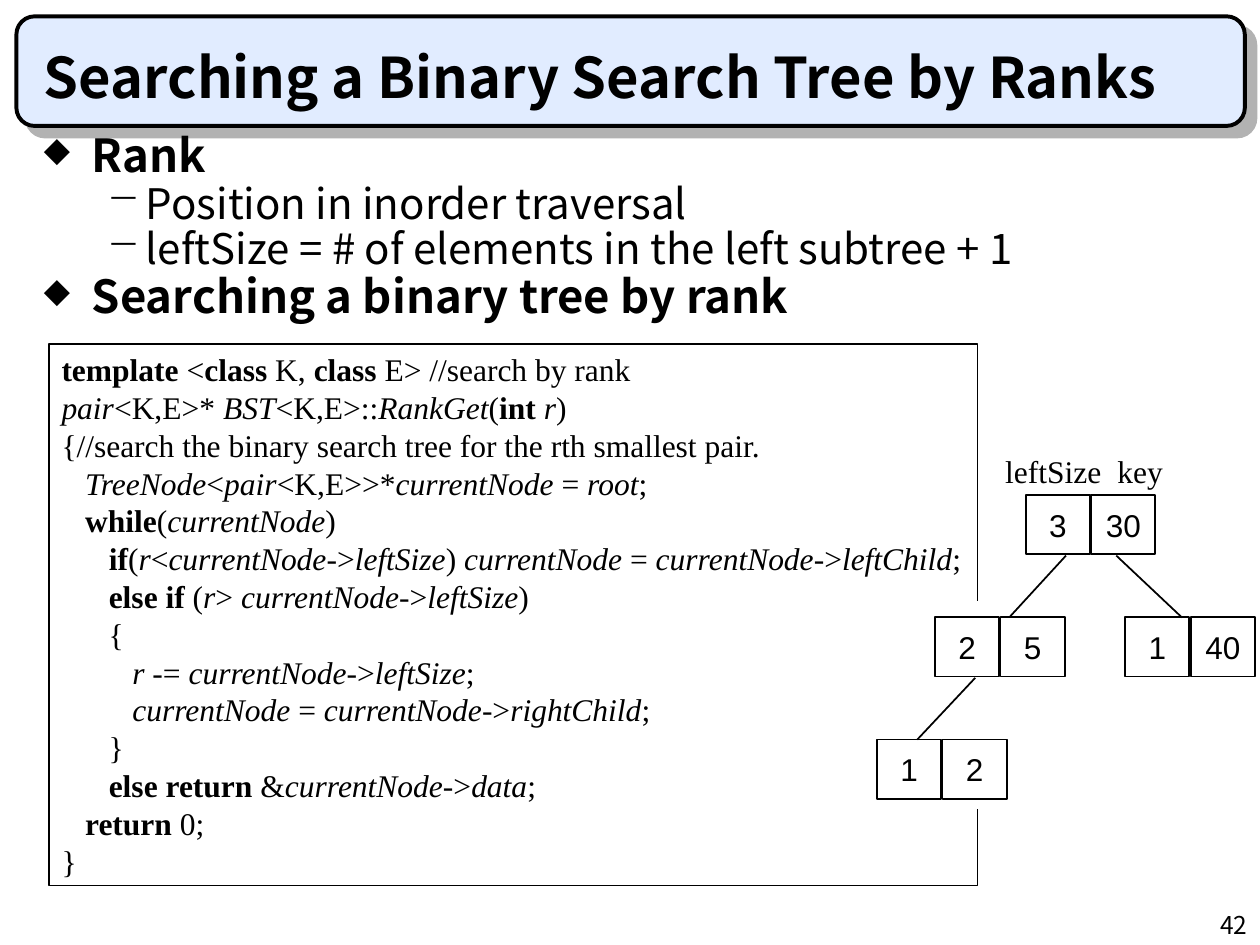
from itertools import groupby
from typing import NamedTuple

from lxml.etree import SubElement
from pptx import Presentation
from pptx.dml.color import RGBColor
from pptx.enum.shapes import MSO_CONNECTOR, MSO_SHAPE
from pptx.enum.text import MSO_ANCHOR, PP_ALIGN
from pptx.oxml.ns import qn
from pptx.util import Inches, Pt

BLACK = RGBColor(0x00, 0x00, 0x00)
WHITE = RGBColor(0xFF, 0xFF, 0xFF)
PALE_BLUE = RGBColor(0xE1, 0xEC, 0xFF)
SHADOW_GRAY = RGBColor(0xB2, 0xB2, 0xB2)

SANS = "Noto Sans CJK KR"
SERIF = "Times New Roman"
CELL_FONT = "Arial"

CELL_PITCH, CELL_WIDTH, CELL_HEIGHT = 0.52, 0.51, 0.47


class Box(NamedTuple):
    left: float
    top: float
    width: float
    height: float


class BulletStyle(NamedTuple):
    character: str
    percent: int
    margin: float
    hanging: float
    size: int
    bold: bool
    space_before: float


class Bullet(NamedTuple):
    level: int
    text: str


class Node(NamedTuple):
    left: float
    top: float
    left_size: str
    key: str


class Edge(NamedTuple):
    start: tuple[float, float]
    end: tuple[float, float]


BULLET_STYLES = [
    BulletStyle("◆", 75, 0.38, 0.38, 26, True, 6.5),
    BulletStyle("−", 100, 0.81, 0.31, 24, False, 6),
]
BULLETS = [
    Bullet(0, "Rank"),
    Bullet(1, "Position in inorder traversal"),
    Bullet(1, "leftSize = # of elements in the left subtree + 1"),
    Bullet(0, "Searching a binary tree by rank"),
]

KEYWORDS = {"template", "class", "int", "while", "if", "else", "return"}
IDENTIFIERS = {"pair", "BST", "RankGet", "r", "TreeNode", "currentNode", "root",
               "leftSize", "leftChild", "rightChild", "data"}
CODE = """\
template <class K, class E> //search by rank
pair<K,E>* BST<K,E>::RankGet(int r)
{//search the binary search tree for the rth smallest pair.
   TreeNode<pair<K,E>>*currentNode = root;
   while(currentNode)
      if(r<currentNode->leftSize) currentNode = currentNode->leftChild;
      else if (r> currentNode->leftSize)
      {
         r -= currentNode->leftSize;
         currentNode = currentNode->rightChild;
      }
      else return &currentNode->data;
   return 0;
}"""

NODES = [
    Node(8.14, 3.93, "3", "30"),
    Node(7.42, 4.9, "2", "5"),
    Node(8.93, 4.9, "1", "40"),
    Node(6.96, 5.87, "1", "2"),
]
EDGES = [
    Edge((8.46, 4.41), (8.01, 4.9)),
    Edge((7.74, 5.38), (7.28, 5.87)),
    Edge((8.86, 4.41), (9.38, 4.9)),
]


def set_font(paragraph, name: str, size: float, bold: bool = False) -> None:
    font = paragraph.font
    font.name, font.size, font.bold = name, Pt(size), bold
    font.color.rgb = BLACK


def add_box(slide, box: Box, fill=None, line_width: float = 0,
            kind=MSO_SHAPE.RECTANGLE):
    shape = slide.shapes.add_shape(kind, *map(Inches, box))
    shape.shadow.inherit = False
    if fill is None:
        shape.fill.background()
    else:
        shape.fill.solid()
        shape.fill.fore_color.rgb = fill
    if line_width:
        shape.line.color.rgb = BLACK
        shape.line.width = Pt(line_width)
    else:
        shape.line.fill.background()
    return shape


def add_text(slide, box: Box, text: str, font: str, size: float,
             bold: bool = False, align=PP_ALIGN.LEFT, anchor=MSO_ANCHOR.TOP):
    frame = slide.shapes.add_textbox(*map(Inches, box)).text_frame
    frame.word_wrap = True
    frame.vertical_anchor = anchor
    paragraph = frame.paragraphs[0]
    paragraph.text = text
    paragraph.alignment = align
    set_font(paragraph, font, size, bold)
    return paragraph


def add_offset_shadow(shape, color: RGBColor, distance: float, degrees: int) -> None:
    effects = shape._element.spPr.find(qn("a:effectLst"))
    shadow = SubElement(effects, qn("a:outerShdw"), dist=str(Pt(distance)),
                        dir=str(degrees * 60000), algn="tl", rotWithShape="0")
    SubElement(shadow, qn("a:srgbClr"), val=str(color))


def add_bullets(slide, box: Box, bullets: list[Bullet]) -> None:
    frame = slide.shapes.add_textbox(*map(Inches, box)).text_frame
    frame.word_wrap = True
    for index, bullet in enumerate(bullets):
        style = BULLET_STYLES[bullet.level]
        paragraph = frame.add_paragraph() if index else frame.paragraphs[0]
        paragraph.text = bullet.text
        paragraph.level = bullet.level
        paragraph.line_spacing = 0.7
        paragraph.space_before = Pt(style.space_before if index else 0)
        properties = paragraph._p.get_or_add_pPr()
        properties.set("marL", str(Inches(style.margin)))
        properties.set("indent", str(-Inches(style.hanging)))
        color = SubElement(properties, qn("a:buClr"))
        SubElement(color, qn("a:srgbClr"), val=str(BLACK))
        SubElement(properties, qn("a:buSzPct"), val=str(style.percent * 1000))
        SubElement(properties, qn("a:buChar"), char=style.character)
        set_font(paragraph, SANS, style.size, style.bold)


def code_style(word: str) -> tuple[bool, bool]:
    return word in KEYWORDS, word in IDENTIFIERS


def add_code(slide, box: Box, code: str) -> None:
    frame = add_box(slide, box, line_width=0.75).text_frame
    frame.word_wrap = False
    frame.vertical_anchor = MSO_ANCHOR.TOP
    for index, line in enumerate(code.splitlines()):
        paragraph = frame.add_paragraph() if index else frame.paragraphs[0]
        paragraph.alignment = PP_ALIGN.LEFT
        set_font(paragraph, SERIF, 18)
        statement, slashes, comment = line.partition("//")
        words = ["".join(group) for _, group in groupby(statement, str.isalnum)]
        for (bold, italic), group in groupby(words + [slashes + comment], code_style):
            run = paragraph.add_run()
            run.text = "".join(group)
            run.font.bold, run.font.italic = bold, italic


def add_node(slide, node: Node) -> None:
    for column, value in enumerate((node.left_size, node.key)):
        box = Box(node.left + column * CELL_PITCH, node.top, CELL_WIDTH, CELL_HEIGHT)
        frame = add_box(slide, box, WHITE, 1).text_frame
        frame.word_wrap = False
        frame.vertical_anchor = MSO_ANCHOR.MIDDLE
        paragraph = frame.paragraphs[0]
        paragraph.text = value
        paragraph.alignment = PP_ALIGN.CENTER
        set_font(paragraph, CELL_FONT, 18)


def add_edge(slide, edge: Edge) -> None:
    connector = slide.shapes.add_connector(
        MSO_CONNECTOR.STRAIGHT, *map(Inches, edge.start + edge.end))
    connector.line.color.rgb = BLACK
    connector.line.width = Pt(1)
    SubElement(connector._element.spPr, qn("a:effectLst"))


def main() -> None:
    presentation = Presentation()
    presentation.slide_width, presentation.slide_height = Inches(10), Inches(7.5)
    slide = presentation.slides.add_slide(presentation.slide_layouts[6])

    # Title banner and page number
    banner = add_box(slide, Box(0.13, 0.13, 9.75, 0.87), PALE_BLUE, 2.25,
                     MSO_SHAPE.ROUNDED_RECTANGLE)
    add_offset_shadow(banner, SHADOW_GRAY, 8.5, 45)
    add_text(slide, Box(7.92, 7.17, 2.08, 0.33), "42", SANS, 14, align=PP_ALIGN.RIGHT)
    add_text(slide, Box(0.25, 0.25, 9.42, 0.67), "Searching a Binary Search Tree by Ranks",
             SANS, 32, bold=True, anchor=MSO_ANCHOR.BOTTOM)

    # Bullets and code listing
    add_bullets(slide, Box(0.25, 1.08, 9.5, 1.67), BULLETS)
    add_code(slide, Box(0.39, 2.73, 7.37, 4.3), CODE)

    # Tree, over a gap in the listing's border
    add_box(slide, Box(7.52, 4.77, 0.39, 1.65), WHITE)
    for node in NODES:
        add_node(slide, node)
    for edge in EDGES:
        add_edge(slide, edge)

    # Column labels above the root
    labels = add_text(slide, Box(7.88, 3.54, 1.5, 0.4), "leftSize\tkey", SERIF, 18)
    properties = labels._p.get_or_add_pPr()
    tab_stops = properties.makeelement(qn("a:tabLst"), {})
    SubElement(tab_stops, qn("a:tab"), pos=str(Inches(0.89)), algn="l")
    properties.find(qn("a:defRPr")).addprevious(tab_stops)

    presentation.save("out.pptx")


if __name__ == "__main__":
    main()
